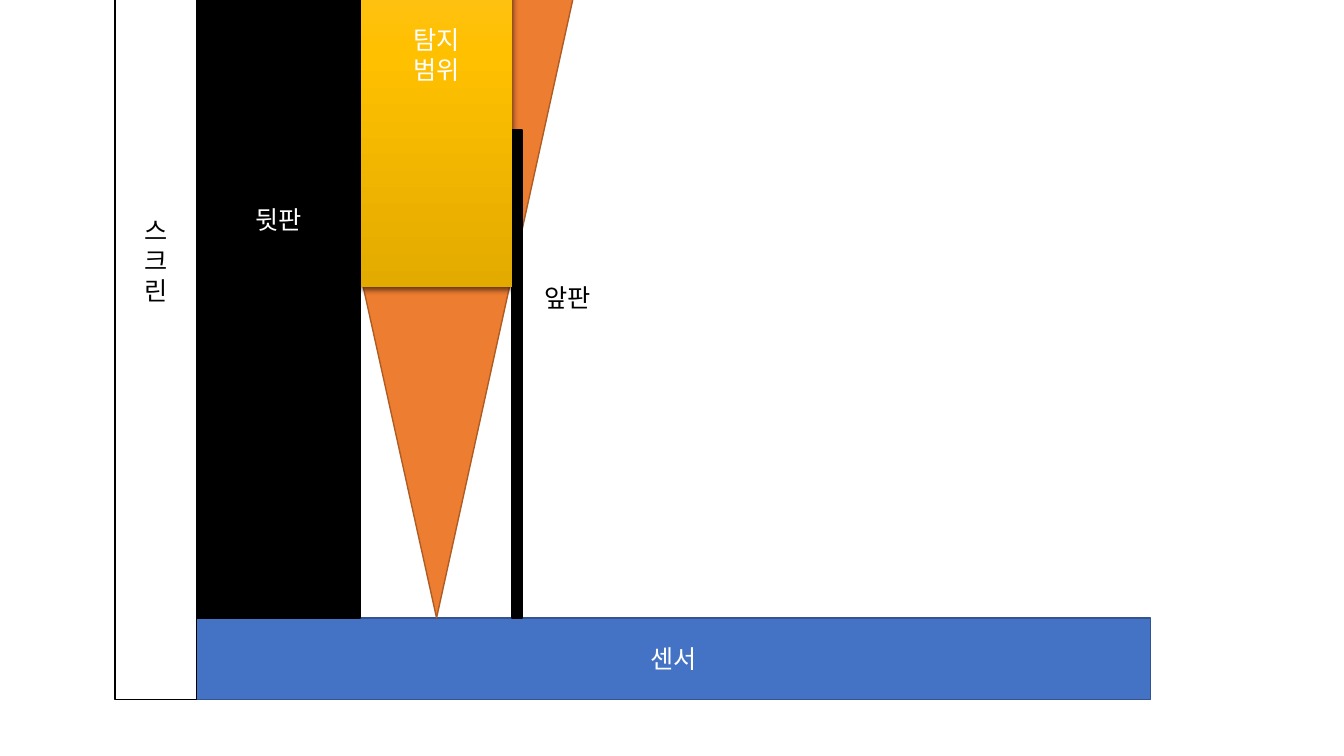
from dataclasses import dataclass

from lxml import etree
from pptx import Presentation
from pptx.dml.color import RGBColor
from pptx.enum import shapes, text
from pptx.oxml import parse_xml
from pptx.oxml.ns import nsdecls, qn
from pptx.util import Inches, Pt


@dataclass(frozen=True)
class Theme:
    font: str = "Noto Sans CJK KR"
    size: int = 18
    stroke: int = 1
    white: str = "FFFFFF"
    black: str = "000000"
    sensor: str = "4472C4"
    sensor_edge: str = "325491"
    beam: str = "ED7D31"
    beam_edge: str = "AF5C24"
    zone: tuple = ((0, "FFC64B"), (0.5, "FFC000"), (1, "E3AB00"))


THEME = Theme()
TOP = -1.77
FLOOR = 6.13


def rgb(value):
    return RGBColor.from_string(value)


def write(shape, wording, color=THEME.white, align=text.PP_ALIGN.CENTER,
          anchor=text.MSO_ANCHOR.MIDDLE):
    frame = shape.text_frame
    frame.word_wrap = True
    frame.vertical_anchor = anchor
    frame.text = wording
    for paragraph in frame.paragraphs:
        paragraph.alignment = align
        for run in paragraph.runs:
            run.font.name = THEME.font
            run.font.size = Pt(THEME.size)
            run.font.color.rgb = rgb(color)
            east_asian = etree.SubElement(run.font._element, qn("a:ea"))
            east_asian.set("typeface", THEME.font)


def paint(shape, fill, edge):
    shape.shadow.inherit = False
    shape.fill.solid()
    shape.fill.fore_color.rgb = rgb(fill)
    shape.line.color.rgb = rgb(edge)
    shape.line.width = Pt(THEME.stroke)


def add_panel(slide, left, top, width, height, fill, edge):
    panel = slide.shapes.add_shape(
        shapes.MSO_SHAPE.RECTANGLE,
        Inches(left), Inches(top), Inches(width), Inches(height))
    paint(panel, fill, edge)
    return panel


def add_beam(slide, left, right, top, tip_x, tip_y):
    outline = slide.shapes.build_freeform(Inches(right), Inches(top))
    outline.add_line_segments(
        [(Inches(tip_x), Inches(tip_y)), (Inches(left), Inches(top))], close=True)
    paint(outline.convert_to_shape(), THEME.beam, THEME.beam_edge)


def add_gradient(shape, stops):
    shape.fill.gradient()
    shape.fill.gradient_angle = 270
    stop_list = shape._element.spPr.find(".//" + qn("a:gsLst"))
    stop_list.append(parse_xml(
        f'<a:gs {nsdecls("a")} pos="100000"><a:srgbClr val="{THEME.white}"/></a:gs>'))
    for stop, (position, color) in zip(shape.fill.gradient_stops, stops):
        stop.position = position
        stop.color.rgb = rgb(color)


def add_shadow(shape, blur, distance, opacity):
    effects = shape._element.spPr.find(qn("a:effectLst"))
    effects.append(parse_xml(
        f'<a:outerShdw {nsdecls("a")} blurRad="{Pt(blur)}" dist="{Pt(distance)}" '
        f'dir="5400000" algn="ctr" rotWithShape="0"><a:srgbClr val="{THEME.black}">'
        f'<a:alpha val="{opacity * 1000}"/></a:srgbClr></a:outerShdw>'))


def add_label(slide, left, top, width, height, wording):
    label = slide.shapes.add_textbox(
        Inches(left), Inches(top), Inches(width), Inches(height))
    write(label, wording, color=THEME.black, align=text.PP_ALIGN.LEFT,
          anchor=text.MSO_ANCHOR.TOP)


def main():
    deck = Presentation()
    deck.slide_width, deck.slide_height = Inches(13.33), Inches(7.5)
    slide = deck.slides.add_slide(deck.slide_layouts[6])

    sensor = add_panel(slide, 1.95, FLOOR, 9.46, 0.81, THEME.sensor, THEME.sensor_edge)
    write(sensor, "센서")

    add_beam(slide, left=2.58, right=6.07, top=TOP, tip_x=4.33, tip_y=FLOOR)
    add_panel(slide, 5.08, 1.29, 0.1, FLOOR - 1.29, THEME.black, THEME.black)

    back_plate = add_panel(slide, 1.95, TOP, 1.62, FLOOR - TOP, THEME.black, THEME.black)
    write(back_plate, "뒷판")

    screen = add_panel(slide, 1.14, TOP, 0.81, 8.71, THEME.white, THEME.black)
    write(screen, "스\n크\n린", color=THEME.black)

    add_label(slide, 5.3, 2.75, 2.03, 0.4, "앞판")

    zone = add_panel(slide, 3.58, TOP, 1.5, 4.62, THEME.white, THEME.white)
    zone.line.fill.background()
    add_gradient(zone, THEME.zone)
    add_shadow(zone, blur=4.5, distance=1.5, opacity=63)
    write(zone, "탐지\n범위")

    deck.save("out.pptx")


main()
